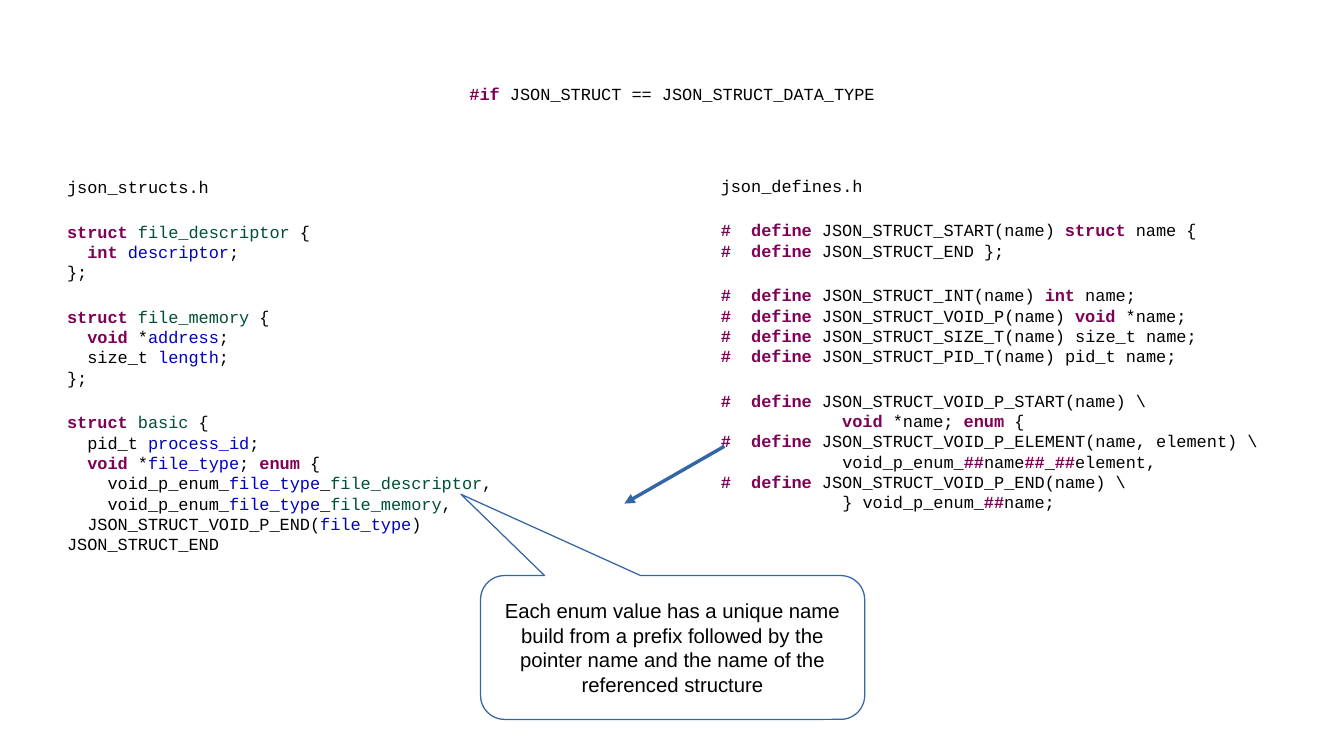
from copy import deepcopy
from dataclasses import dataclass

from lxml import etree
from pptx import Presentation
from pptx import util as u
from pptx.dml.color import RGBColor
from pptx.enum import shapes, text
from pptx.oxml.ns import qn

BLACK, BLUE = "000000", "3465A4"
STYLES = {"@": ("7F0055", True), "$": ("005032", False), "~": ("0000C0", False)}
PLAIN = (BLACK, False)


@dataclass
class Listing:
    left: float
    top: float
    width: float
    height: float
    blocks: list[str]


TITLE = Listing(0.55, 0.25, 9.92, 1.04, ["@#if@ JSON_STRUCT == JSON_STRUCT_DATA_TYPE"])

STRUCTS = Listing(0.55, 1.45, 4.96, 3.6, [
    "json_structs.h",
    "@struct @$file_descriptor$ {\n  @int @~descriptor~;\n};",
    "@struct @$file_memory$ {\n  @void@ *~address~;\n  size_t ~length~;\n};",
    """@struct @$basic$ {
  pid_t ~process_id~;
  @void@ *~file_type~; @enum@ {
    void_p_enum_~file_type~_$file_descriptor$,
    void_p_enum_~file_type~_$file_memory$,
  JSON_STRUCT_VOID_P_END(~file_type~)
JSON_STRUCT_END""",
])

DEFINES = Listing(5.91, 1.44, 4.57, 3.6, [
    "json_defines.h",
    """@#  define@ JSON_STRUCT_START(name) @struct@ name {
@#  define@ JSON_STRUCT_END };""",
    """@#  define@ JSON_STRUCT_INT(name) @int@ name;
@#  define@ JSON_STRUCT_VOID_P(name) @void@ *name;
@#  define@ JSON_STRUCT_SIZE_T(name) size_t name;
@#  define@ JSON_STRUCT_PID_T(name) pid_t name;""",
    """@#  define@ JSON_STRUCT_VOID_P_START(name) \\
            @void@ *name; @enum@ {
@#  define@ JSON_STRUCT_VOID_P_ELEMENT(name, element) \\
            void_p_enum_@##@name@##@_@##@element,
@#  define@ JSON_STRUCT_VOID_P_END(name) \\
            } void_p_enum_@##@name;""",
])

EXPLANATION = """Each enum value has a unique name
build from a prefix followed by the
pointer name and the name of the
referenced structure"""


def rgb(color: str) -> RGBColor:
    return RGBColor.from_string(color)


def split_styles(markup: str) -> list[tuple[str, tuple[str, bool]]]:
    pieces, words, style = [], "", PLAIN
    for letter in markup:
        if letter in STYLES:
            pieces.append((words, style))
            words, style = "", PLAIN if style == STYLES[letter] else STYLES[letter]
        else:
            words += letter
    return [piece for piece in pieces + [(words, style)] if piece[0]]


def write(paragraph, markup: str, *, font: str = "Courier New", size: float = 10,
          align=text.PP_ALIGN.LEFT, before: float = 0) -> None:
    paragraph.alignment = align
    paragraph.space_before = u.Pt(before)
    for words, (color, bold) in split_styles(markup):
        for row, line in enumerate(words.split("\n")):
            run = paragraph.add_run()
            run.text = line
            run.font.name, run.font.size, run.font.bold = font, u.Pt(size), bold
            run.font.color.rgb = rgb(color)
            if row:
                line_break = etree.Element(qn("a:br"))
                line_break.append(deepcopy(run.font._element))
                run._r.addprevious(line_break)
            if not line:
                paragraph._p.remove(run._r)


def fill_listing(holder, listing: Listing, anchor, align, before: float) -> None:
    holder.left, holder.top = u.Inches(listing.left), u.Inches(listing.top)
    holder.width, holder.height = u.Inches(listing.width), u.Inches(listing.height)
    frame = holder.text_frame
    frame.margin_left = frame.margin_right = frame.margin_top = frame.margin_bottom = 0
    frame.vertical_anchor = anchor
    frame.auto_size = text.MSO_AUTO_SIZE.NONE
    frame.word_wrap = True
    for row, block in enumerate(listing.blocks):
        paragraph = frame.add_paragraph() if row else frame.paragraphs[0]
        write(paragraph, block, align=align, before=before)
        properties = paragraph._p.get_or_add_pPr()
        properties.set("marL", "0")
        properties.set("indent", "0")
        etree.SubElement(properties, qn("a:buNone"))


def add_arrow(slide, start: tuple[float, float], end: tuple[float, float]) -> None:
    arrow = slide.shapes.add_connector(
        shapes.MSO_CONNECTOR.STRAIGHT, *map(u.Inches, start + end))
    arrow.line.color.rgb = rgb(BLUE)
    arrow.line.width = 0
    etree.SubElement(arrow.line._get_or_add_ln(), qn("a:tailEnd"), type="triangle")
    etree.SubElement(arrow._element.spPr, qn("a:effectLst"))


def add_callout(slide) -> None:
    callout = slide.shapes.add_shape(
        shapes.MSO_SHAPE.ROUNDED_RECTANGULAR_CALLOUT,
        u.Inches(3.94), u.Inches(4.72), u.Inches(3.15), u.Inches(1.18))
    for position, value in enumerate((-0.551, -1.065, 0.167)):
        callout.adjustments[position] = value
    callout.shadow.inherit = False
    callout.fill.background()
    callout.line.color.rgb = rgb(BLUE)
    callout.line.width = 0
    callout.text_frame.word_wrap = False
    callout.text_frame.vertical_anchor = text.MSO_ANCHOR.MIDDLE
    write(callout.text_frame.paragraphs[0], EXPLANATION, font="Arial", size=12,
          align=text.PP_ALIGN.CENTER)


def main() -> None:
    deck = Presentation()
    deck.slide_width, deck.slide_height = u.Inches(11.02), u.Inches(6.2)
    slide = deck.slides.add_slide(deck.slide_layouts.get_by_name("Two Content"))
    title, structs, defines = list(slide.placeholders)[:3]
    fill_listing(title, TITLE, text.MSO_ANCHOR.MIDDLE, text.PP_ALIGN.CENTER, 0)
    for holder, listing in ((structs, STRUCTS), (defines, DEFINES)):
        fill_listing(holder, listing, text.MSO_ANCHOR.TOP, text.PP_ALIGN.LEFT, 14.2)
    add_arrow(slide, (5.94, 3.66), (5.12, 4.13))
    add_callout(slide)
    deck.save("out.pptx")


if __name__ == "__main__":
    main()
